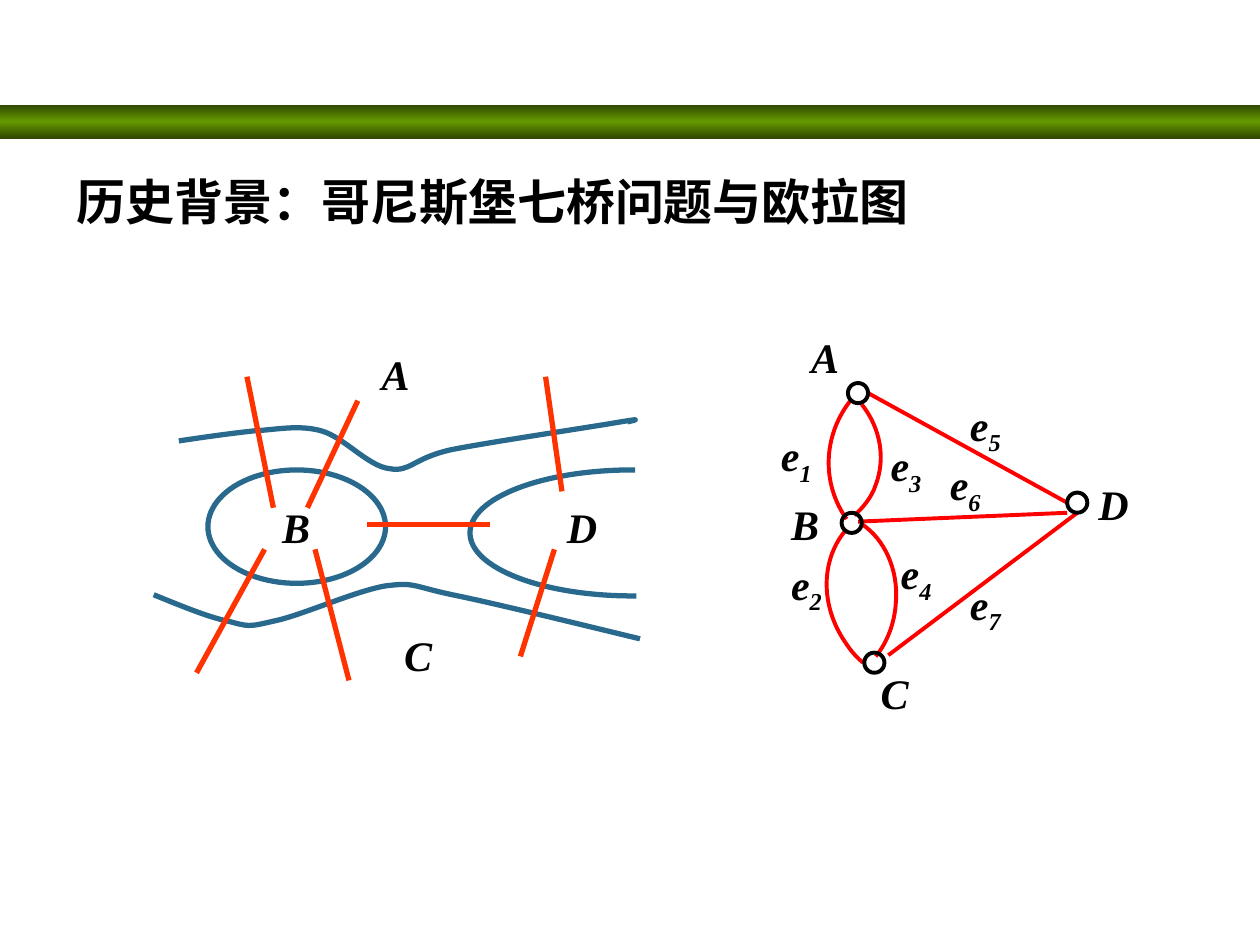
from copy import deepcopy

from lxml.etree import SubElement
from pptx import Presentation
from pptx.dml.color import RGBColor
from pptx.enum.shapes import MSO_CONNECTOR as CONN, MSO_SHAPE as SHAPE
from pptx.enum.text import MSO_ANCHOR as ANCHOR, MSO_AUTO_SIZE as AUTO, PP_ALIGN as ALIGN
from pptx.oxml.ns import qn
from pptx.util import Inches, Pt

BLACK = RGBColor(0x00, 0x00, 0x00)
RED = RGBColor(0xFF, 0x00, 0x00)
BRIDGE = RGBColor(0xFF, 0x33, 0x00)
RIVER = RGBColor(0x29, 0x69, 0x8D)
DARK_GREEN = RGBColor(0x2F, 0x47, 0x00)
GREEN = RGBColor(0x66, 0x99, 0x00)

COLS = 100
NODE = 1.6
LABEL_SIZE = 5


class Diagram:
    """Draws on a slide laid out as a grid of 100 columns by 75 rows."""

    def __init__(self, prs):
        self.unit = prs.slide_width / COLS
        self.s = prs.slides.add_slide(prs.slide_layouts[5])
        self.shapes = self.s.shapes

    def grid(self, *cells):
        return [round(c * self.unit) for c in cells]

    def start_group(self):
        self.shapes = self.s.shapes.add_group_shape().shapes

    def stroke(self, sp, color, width):
        sp.line.color.rgb = color
        sp.line.width = Pt(width)

    def title(self, text, *box):
        sp = self.s.shapes.title
        sp.left, sp.top, sp.width, sp.height = self.grid(*box)
        tf = sp.text_frame
        tf.text = text
        tf.word_wrap = True
        tf.auto_size = AUTO.NONE
        tf.vertical_anchor = ANCHOR.TOP
        p = tf.paragraphs[0]
        p.alignment = ALIGN.LEFT
        self.font(p, "Arial", 28)
        ea = SubElement(p._p.pPr.find(qn("a:defRPr")), qn("a:ea"))
        ea.set("typeface", "Noto Sans CJK SC")

    def font(self, p, name, size, italic=False):
        p.font.name, p.font.size = name, Pt(size)
        p.font.bold, p.font.italic = True, italic
        p.font.color.rgb = BLACK

    def bar(self, *box):
        sp = self.shapes.add_shape(SHAPE.RECTANGLE, *self.grid(*box))
        sp.shadow.inherit = False
        sp.line.fill.background()
        sp.fill.gradient()
        sp.fill.gradient_angle = 90
        stops = sp._element.spPr.find(qn("a:gradFill")).find(qn("a:gsLst"))
        stops.append(deepcopy(stops[0]))
        colors = (DARK_GREEN, GREEN, DARK_GREEN)
        for i, (stop, color) in enumerate(zip(sp.fill.gradient_stops, colors)):
            stop.position = i / 2
            stop.color.rgb = color

    def label(self, x, y, text, sub=""):
        sp = self.shapes.add_textbox(*self.grid(x, y, LABEL_SIZE, LABEL_SIZE))
        tf = sp.text_frame
        tf.word_wrap = True
        p = tf.paragraphs[0]
        self.font(p, "Times New Roman", 24, italic=True)
        p.add_run().text = text
        if sub:
            r = p.add_run()
            r.text = sub
            r._r.get_or_add_rPr().set("baseline", "-25000")

    def line(self, ends, color, width):
        sp = self.shapes.add_connector(CONN.STRAIGHT, *self.grid(*ends))
        self.stroke(sp, color, width)
        SubElement(sp._element.spPr, qn("a:effectLst"))

    def ellipse(self, box, color, width):
        sp = self.shapes.add_shape(SHAPE.OVAL, *self.grid(*box))
        sp.shadow.inherit = False
        sp.fill.background()
        self.stroke(sp, color, width)

    def curve(self, nodes, color, width):
        """Draw joined cubic curves given as start, control, control, end, and so on."""
        points = [self.grid(*node) for node in nodes]
        fb = self.shapes.build_freeform(*points[0])
        fb.add_line_segments(points[1:], close=False)
        sp = fb.convert_to_shape()
        segments = list(sp._element.iter(qn("a:lnTo")))
        outline = segments[0].getparent()
        for i in range(0, len(segments), 3):
            bezier = SubElement(outline, qn("a:cubicBezTo"))
            for segment in segments[i:i + 3]:
                bezier.append(segment[0])
                outline.remove(segment)
        sp.shadow.inherit = False
        sp.fill.background()
        self.stroke(sp, color, width)


EDGE_LINES = [(68.9, 31.2, 84.7, 39.9), (70.5, 52, 85.5, 40.7), (68.1, 41.4, 84.7, 40.7)]
EDGE_CURVES = [
    [(67.5, 31.8), (65.3, 34.6), (65.2, 38.4), (67.2, 41.2)],
    [(67.2, 42), (65.1, 44.4), (65.1, 48.1), (67.1, 51),
     (67.5, 51.6), (67.9, 52.1), (68.5, 52.6)],
    [(67.8, 40.9), (68.6, 40.2), (69.2, 39.4), (69.5, 38.5),
     (70.3, 36.4), (69.9, 34), (68.4, 32.1)],
    [(69.5, 52.1), (70.4, 51), (71, 49.5), (71.1, 47.8),
     (71.3, 45.2), (70.2, 42.8), (68.4, 41.6)],
]
NODES = [(67.3, 30.4), (84.7, 39.1), (66.8, 40.7), (68.6, 51.8)]
GRAPH_LABELS = [
    (63.4, 25.8, "A"), (61.8, 39.1, "B"), (68.9, 52.5, "C"), (86.2, 37.5, "D"),
    (61, 33.6, "e", "1"), (61.8, 43.8, "e", "2"), (69.7, 34.4, "e", "3"),
    (70.5, 43, "e", "4"), (76, 31.2, "e", "5"), (74.4, 35.9, "e", "6"),
    (76, 45.4, "e", "7"),
]

BANKS = [
    [(14.2, 35), (16.2, 34.7), (18.3, 34.4), (20.2, 34.2),
     (22, 34.1), (23.7, 33.7), (25.5, 34.2), (27.3, 34.7), (29.2, 37), (30.9, 37.2),
     (32.6, 37.5), (32.7, 36.4), (35.8, 35.7), (38.8, 35.1), (46.9, 33.9), (49.2, 33.5),
     (51.6, 33.1), (49.7, 33.5), (49.8, 33.5)],
    [(12.2, 47.2), (14.4, 48.1), (16.6, 49), (18.1, 49.3),
     (19.7, 49.7), (19.6, 49.8), (21.7, 49.3), (23.8, 48.9), (28.2, 46.9), (30.6, 46.5),
     (33, 46.2), (32.6, 46.5), (35.9, 47.2), (39.3, 47.9), (45, 49.3), (50.8, 50.7)],
    [(50.4, 37.3), (50.3, 37.3), (50.3, 37.3), (50.2, 37.3),
     (43.1, 37.3), (37.3, 39.5), (37.3, 42.3), (37.3, 45.1), (43.1, 47.3), (50.2, 47.3),
     (50.3, 47.3), (50.4, 47.3), (50.5, 47.3)],
]
ISLAND = (16.5, 37.3, 14.1, 9)
BRIDGES = [
    (29.1, 41.6, 38.9, 41.6), (25, 43.6, 27.7, 54), (44, 43.6, 41.3, 52.1),
    (43.3, 29.9, 44.6, 39), (19.6, 29.9, 21.7, 40.3), (28.4, 31.8, 24.4, 40.3),
    (21, 43.6, 15.6, 53.4),
]
MAP_LABELS = [(29.3, 27.2, "A"), (21.4, 39.3, "B"), (31.1, 49.5, "C"), (44, 39.3, "D")]


def main():
    prs = Presentation()
    prs.slide_width, prs.slide_height = Inches(10), Inches(7.5)
    d = Diagram(prs)
    d.bar(0, 8.3, COLS, 2.7)
    d.title("历史背景：哥尼斯堡七桥问题与欧拉图", 5.1, 13.1, 72, 5.7)

    d.start_group()
    for ends in EDGE_LINES:
        d.line(ends, RED, 2.25)
    for nodes in EDGE_CURVES:
        d.curve(nodes, RED, 2.25)
    for x, y in NODES:
        d.ellipse((x, y, NODE, NODE), BLACK, 2.25)
    for label in GRAPH_LABELS:
        d.label(*label)

    d.start_group()
    for nodes in BANKS:
        d.curve(nodes, RIVER, 3)
    d.ellipse(ISLAND, RIVER, 3)
    for ends in BRIDGES:
        d.line(ends, BRIDGE, 3)
    for label in MAP_LABELS:
        d.label(*label)
    prs.save("out.pptx")


if __name__ == "__main__":
    main()
